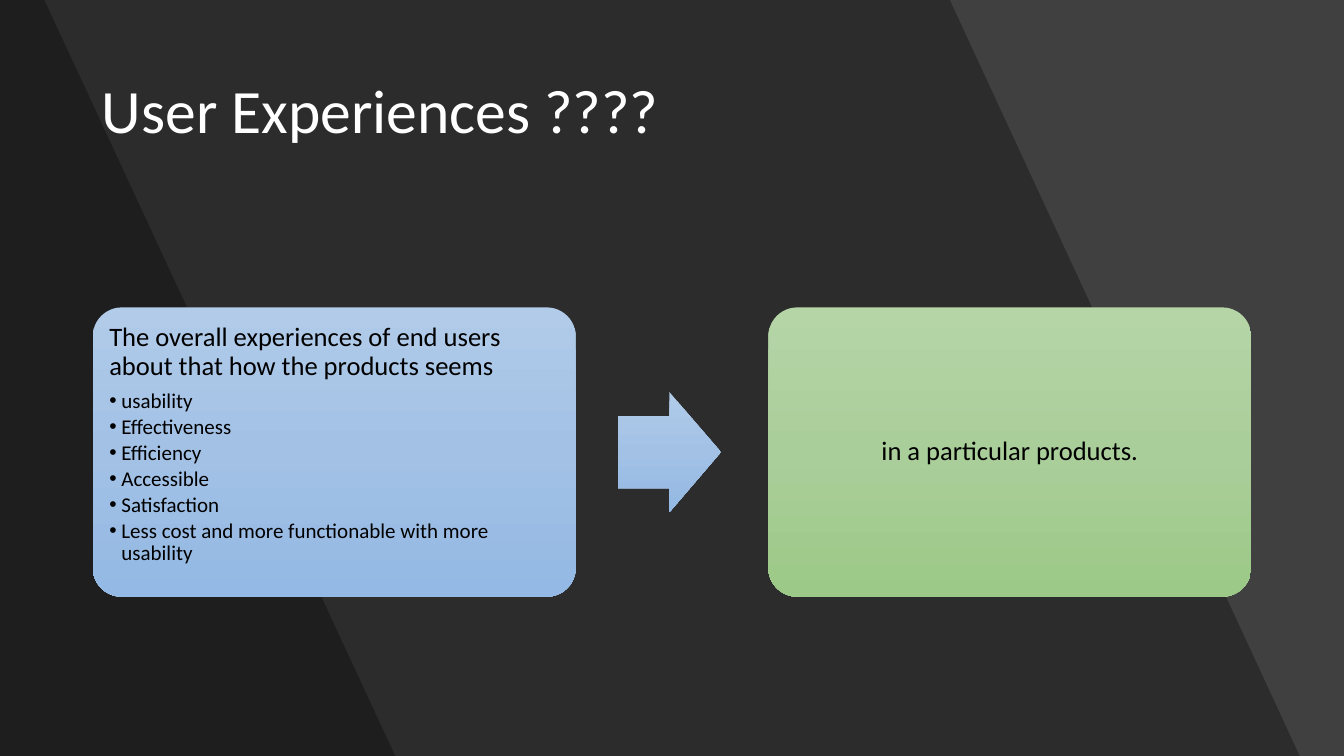
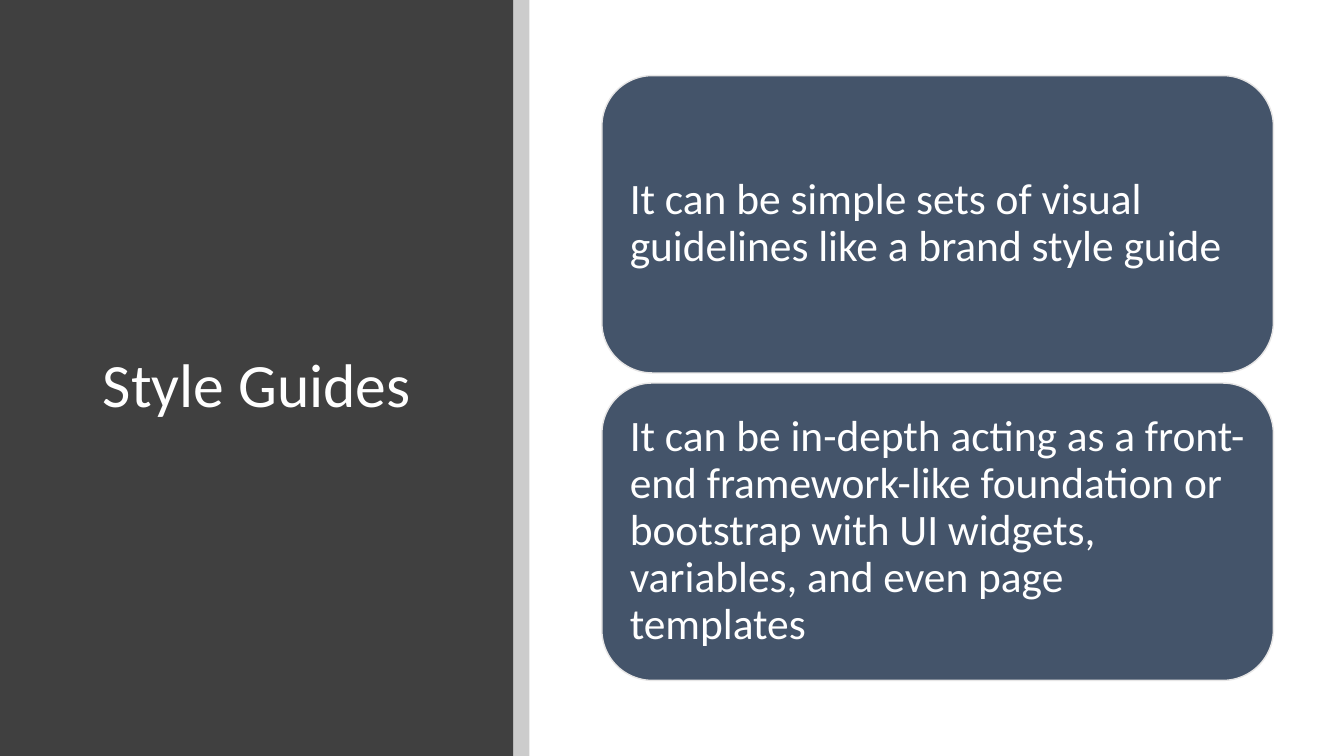
from copy import deepcopy

from lxml import etree
from pptx import Presentation
from pptx.dml.color import RGBColor
from pptx.enum import shapes, text
from pptx.oxml import ns
from pptx.util import Inches, Pt

COLOURS = {
    "charcoal": "404040", "black": "000000", "white": "FFFFFF",
    "slate": "44546A", "edge": "E7E6E6",
}
GRADIENTS = {
    "blue": ("B1CBE9", "A3C1E5", "93B9E4"),
    "green": ("B5D5A7", "AACE9A", "9CC987"),
}
FONT = "Calibri"
WIDTH, HEIGHT = 13.33, 7.5
SHAPE = shapes.MSO_SHAPE
ALIGN = text.PP_ALIGN
ANCHOR = text.MSO_ANCHOR


def colour(name):
    return RGBColor.from_string(COLOURS.get(name, name))


def set_all(target, values):
    for name, value in values.items():
        setattr(target, name, value)


def fill_solid(shape, name, opacity=100):
    shape.fill.solid()
    shape.fill.fore_color.rgb = colour(name)
    if opacity < 100:
        tint = shape._element.spPr.find(".//" + ns.qn("a:srgbClr"))
        etree.SubElement(tint, ns.qn("a:alpha"), val=str(opacity * 1000))


def fill_gradient(shape, name):
    """Fill from top to bottom with three evenly spaced colours."""
    shape.fill.gradient()
    shape.fill.gradient_angle = 270
    stop_list = shape._element.spPr.find(".//" + ns.qn("a:gsLst"))
    stop_list.insert(1, deepcopy(stop_list[0]))
    for index, (stop, tone) in enumerate(zip(shape.fill.gradient_stops, GRADIENTS[name])):
        stop.color.rgb = colour(tone)
        stop.position = index / 2


def add_shape(page, kind, box, adjustments=()):
    shape = page.shapes.add_shape(kind, *map(Inches, box))
    shape.shadow.inherit = False
    shape.line.fill.background()
    for index, value in enumerate(adjustments):
        shape.adjustments[index] = value
    return shape


def add_slanted_band(page, top_right, bottom_right):
    """Draw a translucent band from the left edge to a slanted right side."""
    corners = [(top_right, 0), (bottom_right, HEIGHT), (0, HEIGHT)]
    builder = page.shapes.build_freeform(0, 0)
    builder.add_line_segments([(Inches(x), Inches(y)) for x, y in corners], close=True)
    band = builder.convert_to_shape()
    band.shadow.inherit = False
    band.line.fill.background()
    fill_solid(band, "black", 30)


def write_paragraph(para, words, size, tone, space, align=ALIGN.LEFT):
    set_all(para, {"text": words, "alignment": align, "line_spacing": 0.9,
                   "space_before": Pt(0), "space_after": Pt(space)})
    set_all(para.font, {"size": Pt(size), "name": FONT})
    para.font.color.rgb = colour(tone)


def add_bullet(para, indent=0.12):
    settings = para._p.get_or_add_pPr()
    settings.set("marL", str(Inches(indent)))
    settings.set("indent", str(-Inches(indent)))
    etree.SubElement(settings, ns.qn("a:buFont"), typeface="Arial")
    etree.SubElement(settings, ns.qn("a:buChar"), char="•")


def place_title(page, words, box):
    """Put the title above the backdrop shapes."""
    title = page.shapes.title
    page.shapes._spTree.append(title._element)
    set_all(title, dict(zip(("left", "top", "width", "height"), map(Inches, box))))
    set_all(title.text_frame, {"vertical_anchor": ANCHOR.MIDDLE, "word_wrap": True,
                               "auto_size": text.MSO_AUTO_SIZE.NONE})
    write_paragraph(title.text_frame.paragraphs[0], words, 44, "white", 0)


def add_card(page, box, words, size, tone, corner, inset,
             anchor=ANCHOR.MIDDLE, align=ALIGN.LEFT):
    card = add_shape(page, SHAPE.ROUNDED_RECTANGLE, box, [corner])
    frame = card.text_frame
    set_all(frame, {"word_wrap": True, "vertical_anchor": anchor})
    set_all(frame, {f"margin_{side}": Inches(inset)
                    for side in ("left", "top", "right", "bottom")})
    write_paragraph(frame.paragraphs[0], words, size, tone, size * 0.35, align)
    return card


def add_page(deck, background):
    page = deck.slides.add_slide(deck.slide_layouts[5])
    page.background.fill.solid()
    page.background.fill.fore_color.rgb = colour(background)
    return page


def add_flow(page, box):
    """Draw two cards at the ends of the box, with an arrow between them."""
    left, top, width, height = box
    card_width, arrow_width, arrow_height = 4.79, 1.02, 1.19
    style = {"size": 19, "tone": "black", "corner": 0.1, "inset": 0.08}

    source = add_card(page, (left, top, card_width, height),
                      "The overall experiences of end users about that how the products seems",
                      anchor=ANCHOR.TOP, **style)
    fill_gradient(source, "blue")
    for words in ("usability", "Effectiveness", "Efficiency", "Accessible", "Satisfaction",
                  "Less cost and more functionable with more usability"):
        para = source.text_frame.add_paragraph()
        add_bullet(para)
        write_paragraph(para, words, 15, "black", 15 * 0.15)

    arrow = add_shape(page, SHAPE.RIGHT_ARROW,
                      (left + card_width + 0.42, top + (height - arrow_height) / 2,
                       arrow_width, arrow_height), [0.6, 0.5])
    fill_gradient(arrow, "blue")

    result = add_card(page, (left + width - card_width, top, card_width, height),
                      "in a particular products.", align=ALIGN.CENTER, **style)
    fill_gradient(result, "green")


def add_card_stack(page, box, statements, gap=0.1):
    left, top, width, height = box
    card_height = (height - gap * (len(statements) - 1)) / len(statements)
    for index, words in enumerate(statements):
        card = add_card(page, (left, top + index * (card_height + gap), width, card_height),
                        words, 31, "white", 0.17, 0.13)
        fill_solid(card, "slate")
        card.line.color.rgb = colour("edge")
        card.line.width = Pt(1)


def build_experience_page(deck):
    page = add_page(deck, "charcoal")
    add_slanted_band(page, 9.42, 12.89)
    add_slanted_band(page, 0.44, 3.92)
    place_title(page, "User Experiences ????", (0.91, 0.4, 11.51, 1.45))
    add_flow(page, (0.92, 3.05, 11.49, 2.87))


def build_style_guide_page(deck):
    page = add_page(deck, "white")
    panel_width = 5.09
    fill_solid(add_shape(page, SHAPE.RECTANGLE, (0, 0, panel_width, HEIGHT)), "charcoal")
    fill_solid(add_shape(page, SHAPE.RECTANGLE, (panel_width, 0, 0.16, HEIGHT)), "black", 20)
    place_title(page, "Style Guides", (0.92, 0.89, 3.65, 5.91))
    add_card_stack(page, (5.97, 0.75, 6.66, 6), (
        "It can be simple sets of visual guidelines like a brand style guide",
        "It can be in-depth acting as a front-end framework-like foundation or bootstrap "
        "with UI widgets, variables, and even page templates",
    ))


def main():
    deck = Presentation()
    set_all(deck, {"slide_width": Inches(WIDTH), "slide_height": Inches(HEIGHT)})
    build_experience_page(deck)
    build_style_guide_page(deck)
    deck.save("out.pptx")


if __name__ == "__main__":
    main()
